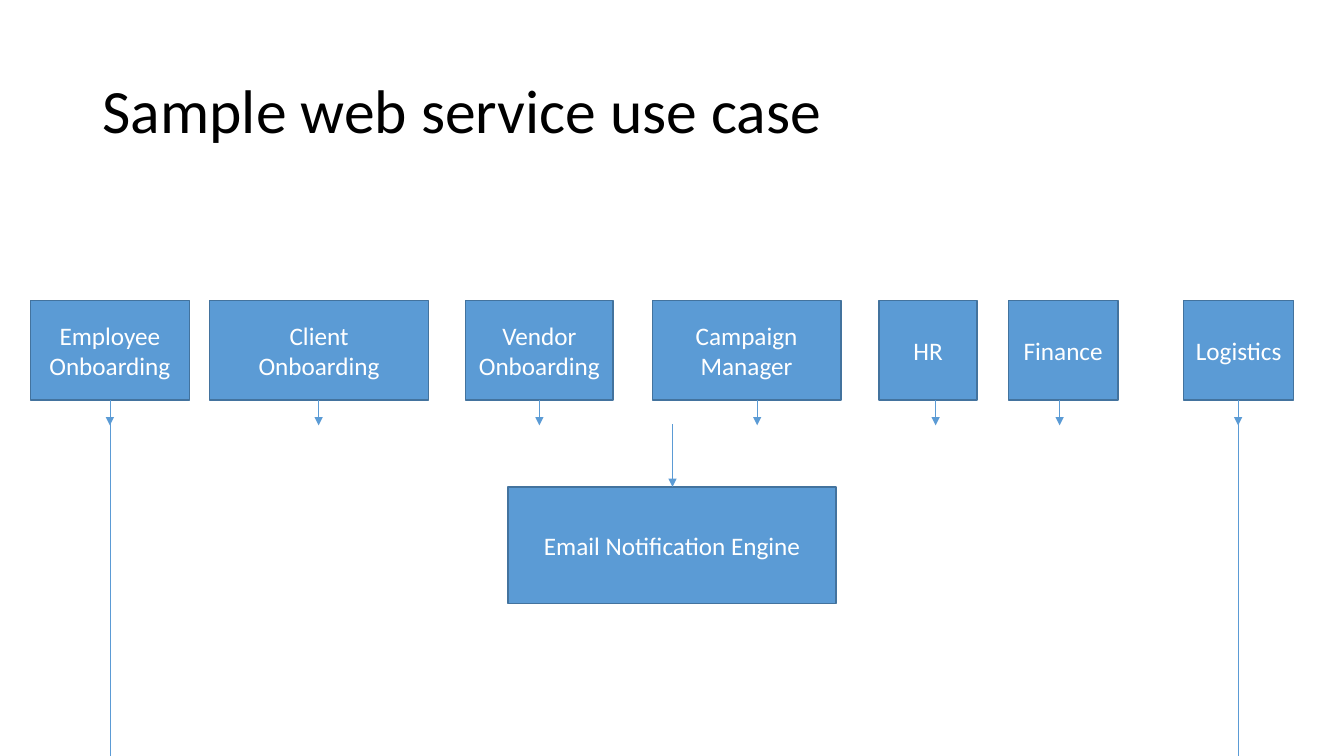
from lxml import etree
from pptx import Presentation
from pptx.dml.color import RGBColor
from pptx.enum.shapes import MSO_CONNECTOR, MSO_SHAPE
from pptx.enum.text import MSO_ANCHOR, PP_ALIGN
from pptx.oxml.ns import qn
from pptx.util import Inches, Pt

COLORS = {"box": "5B9BD5", "border": "43739E", "title": "000000", "label": "FFFFFF"}
FONT = "Calibri"
SLIDE_WIDTH, SLIDE_HEIGHT = 13.33, 7.5
ROW_TOP, ROW_HEIGHT = 2.98, 0.99
ROW_BOTTOM = ROW_TOP + ROW_HEIGHT
ARROW_END = 4.22

# Lines of the label, left, width, x of the arrow below
SERVICES = [
    (["Employee Onboarding"], 0.3, 1.58, 1.09),
    (["Client", "Onboarding"], 2.08, 2.17, 3.16),
    (["Vendor Onboarding"], 4.62, 1.46, 5.35),
    (["Campaign Manager"], 6.47, 1.87, 7.51),
    (["HR"], 8.72, 0.97, 9.28),
    (["Finance"], 10, 1.09, 10.51),
    (["Logistics"], 11.74, 1.09, 12.28),
]


def rgb(name):
    return RGBColor.from_string(COLORS[name])


def write(frame, lines, size, color, align):
    """Fill a frame with one paragraph, with a line break between lines."""
    frame.word_wrap = True
    frame.vertical_anchor = MSO_ANCHOR.MIDDLE
    paragraph = frame.paragraphs[0]
    paragraph.alignment = align
    for index, line in enumerate(lines):
        if index:
            paragraph.add_line_break()
        run = paragraph.add_run()
        run.text = line
        run.font.name = FONT
        run.font.size = Pt(size)
        run.font.color.rgb = rgb(color)
    return paragraph


def add_title(slide, text):
    title = slide.shapes.add_textbox(Inches(0.92), Inches(0.4), Inches(11.5), Inches(1.45))
    write(title.text_frame, [text], 44, "title", PP_ALIGN.LEFT).line_spacing = 0.9


def add_box(slide, lines, left, top, width, height):
    box = slide.shapes.add_shape(
        MSO_SHAPE.RECTANGLE, Inches(left), Inches(top), Inches(width), Inches(height))
    box.shadow.inherit = False
    box.fill.solid()
    box.fill.fore_color.rgb = rgb("box")
    box.line.color.rgb = rgb("border")
    box.line.width = Pt(1)
    write(box.text_frame, lines, 18, "label", PP_ALIGN.CENTER)


def add_vertical(slide, x, top, bottom, arrow=True):
    connector = slide.shapes.add_connector(
        MSO_CONNECTOR.STRAIGHT, Inches(x), Inches(top), Inches(x), Inches(bottom))
    connector.line.color.rgb = rgb("box")
    connector.line.width = Pt(0.5)
    if arrow:
        outline = connector.line._get_or_add_ln()
        etree.SubElement(outline, qn("a:tailEnd"), type="triangle")
    etree.SubElement(connector._element.spPr, qn("a:effectLst"))


def main():
    prs = Presentation()
    prs.slide_width, prs.slide_height = Inches(SLIDE_WIDTH), Inches(SLIDE_HEIGHT)
    slide = prs.slides.add_slide(prs.slide_layouts[6])

    add_title(slide, "Sample web service use case")
    add_box(slide, ["Email Notification Engine"], 5.04, 4.83, 3.25, 1.16)
    add_vertical(slide, 6.67, 4.21, 4.83)
    for lines, left, width, arrow_x in SERVICES:
        add_box(slide, lines, left, ROW_TOP, width, ROW_HEIGHT)
        add_vertical(slide, arrow_x, ROW_BOTTOM, ARROW_END)
    for outer_x in (SERVICES[0][-1], SERVICES[-1][-1]):
        add_vertical(slide, outer_x, ROW_BOTTOM, SLIDE_HEIGHT, arrow=False)

    prs.save("out.pptx")


if __name__ == "__main__":
    main()
